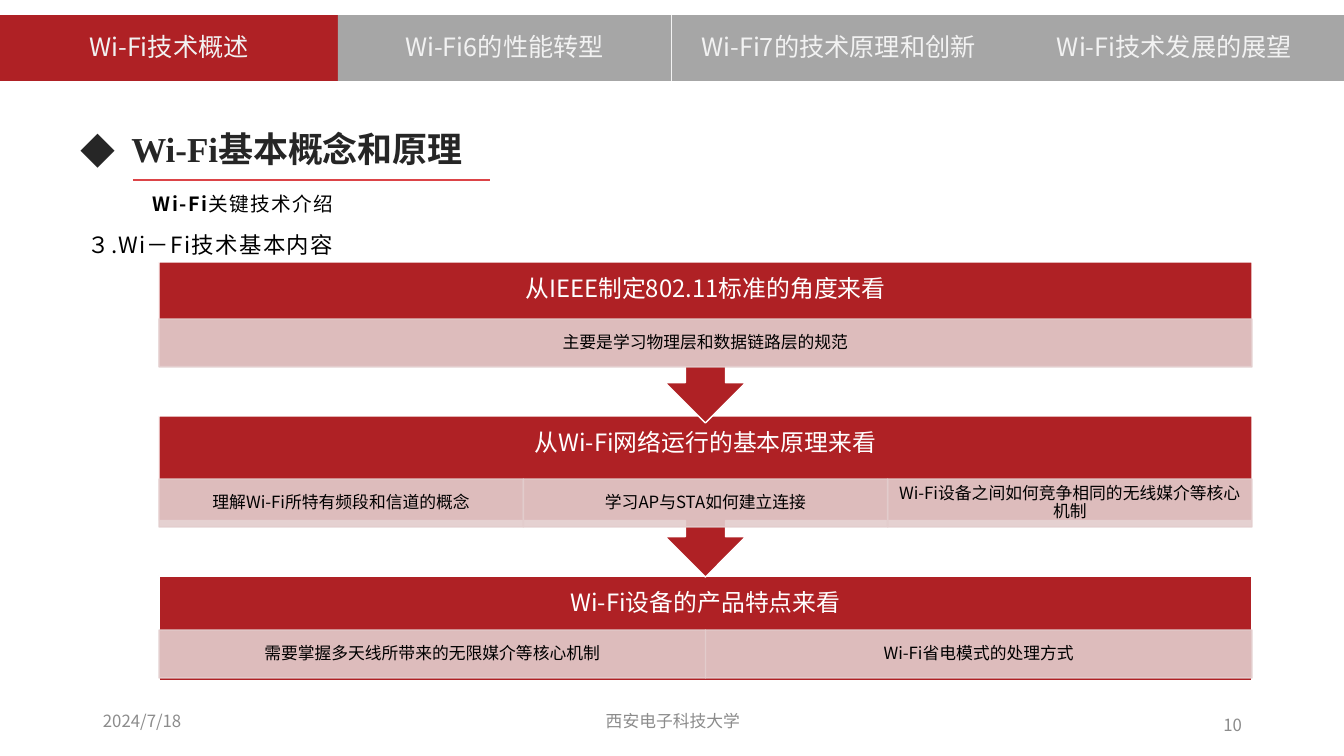
from lxml import etree
from pptx import Presentation
from pptx import util as u
from pptx.dml.color import RGBColor
from pptx.enum import shapes, text
from pptx.oxml import ns

SCALE = 914400 / 100.8
SANS, SERIF = "Noto Sans CJK SC", "Times New Roman"
RED = RGBColor(0xAF, 0x21, 0x25)
RULE_RED = RGBColor(0xDC, 0x44, 0x48)
GREY = RGBColor(0xA6, 0xA6, 0xA6)
PINK = RGBColor(0xE3, 0xCD, 0xCD)
WHITE = RGBColor(0xFF, 0xFF, 0xFF)
PALE = RGBColor(0xF2, 0xF2, 0xF2)
INK = RGBColor(0x26, 0x26, 0x26)
BLACK = RGBColor(0, 0, 0)
MUTED = RGBColor(0x8C, 0x8C, 0x8C)
LEFT, CENTER, RIGHT, JUSTIFY = (text.PP_ALIGN.LEFT, text.PP_ALIGN.CENTER,
                                text.PP_ALIGN.RIGHT, text.PP_ALIGN.JUSTIFY)
MIDDLE, TOP = text.MSO_ANCHOR.MIDDLE, text.MSO_ANCHOR.TOP
RECT, CALLOUT = shapes.MSO_SHAPE.RECTANGLE, shapes.MSO_SHAPE.DOWN_ARROW_CALLOUT

CHAPTERS = [
    ("Wi-Fi技术概述", 0, 338, RED),
    ("Wi-Fi6的性能转型", 338, 333, GREY),
    ("Wi-Fi7的技术原理和创新", 672, 333, GREY),
    ("Wi-Fi技术发展的展望", 1005, 339, GREY),
]
FOOTER = [
    ("2024/7/18", (93, 701, 302, 40), LEFT),
    ("西安电子科技大学", (446, 701, 454, 40), CENTER),
    ("10", (950, 705, 302, 40), RIGHT),
]
TITLE = "Wi-Fi基本概念和原理"
SUBTITLE = [("Wi-Fi", True), ("关键技术介绍", False)]
TOPIC = "３.Wi－Fi技术基本内容"
STAGES = [
    ("Wi-Fi设备的产品特点来看", 576, 630, RECT, 105,
     ["需要掌握多天线所带来的无限媒介等核心机制", "Wi-Fi省电模式的处理方式"]),
    ("从Wi-Fi网络运行的基本原理来看", 416, 479, CALLOUT, 161,
     ["理解Wi-Fi所特有频段和信道的概念", "学习AP与STA如何建立连接",
      "Wi-Fi设备之间如何竞争相同的无线媒介等核心机制"]),
    ("从IEEE制定802.11标准的角度来看", 262, 319, CALLOUT, 161,
     ["主要是学习物理层和数据链路层的规范"]),
]
STAGE_LEFT, STAGE_WIDTH = 159, 1093
BODY_HEIGHT, HEADER_HEIGHT, CELL_HEIGHT = 105, 56, 48

deck = Presentation()


def px(length):
    return u.Emu(round(length * SCALE))


deck.slide_width, deck.slide_height = px(1344), px(756)
slide = deck.slides.add_slide(deck.slide_layouts[6])


def write(holder, runs, size, color, align=CENTER, spacing=1.0, anchor=MIDDLE,
          insets=(10, 5, 10, 5), face=SANS, tracking=0, bullet=None):
    frame = holder.text_frame
    left, top, right, bottom = map(px, insets)
    layout = dict(word_wrap=True, vertical_anchor=anchor, margin_left=left,
                  margin_top=top, margin_right=right, margin_bottom=bottom)
    for key, value in layout.items():
        setattr(frame, key, value)
    line = frame.paragraphs[0]
    line.alignment, line.line_spacing = align, spacing
    if bullet:
        props = line._p.get_or_add_pPr()
        props.set("marL", "457200")
        props.set("indent", "-457200")
        etree.SubElement(props, ns.qn("a:buFont"), typeface=SANS)
        etree.SubElement(props, ns.qn("a:buChar"), char=bullet)
    for words, bold in runs:
        run = line.add_run()
        run.text = words
        for key, value in dict(size=u.Pt(size), bold=bold, name=face).items():
            setattr(run.font, key, value)
        run.font.color.rgb = color
        props = run._r.get_or_add_rPr()
        if tracking:
            props.set("spc", str(tracking))
        props.find(ns.qn("a:latin")).addnext(
            etree.Element(ns.qn("a:ea"), typeface=SANS))


def add_block(kind, box, fill, outline=None, opacity=None):
    block = slide.shapes.add_shape(kind, *map(px, box))
    block.shadow.inherit = False
    block.fill.solid()
    block.fill.fore_color.rgb = fill
    if outline is None:
        block.line.fill.background()
    else:
        block.line.color.rgb = outline
        block.line.width = u.Pt(1)
    if opacity:
        for color in block._element.spPr.iter(ns.qn("a:srgbClr")):
            etree.SubElement(color, ns.qn("a:alpha"), val=str(opacity * 1000))
    return block


def add_text(box, runs, size, color, **style):
    write(slide.shapes.add_textbox(*map(px, box)), runs, size, color, **style)


for words, box, align in FOOTER:
    add_text(box, [(words, False)], 12, MUTED, align=align)

for words, left, width, fill in CHAPTERS:
    tab = add_block(RECT, (left, 15, width, 66), fill)
    write(tab, [(words, False)], 18, PALE, spacing=0.9)

underline = slide.shapes.add_connector(
    shapes.MSO_CONNECTOR.STRAIGHT, px(133), px(180), px(490), px(180))
underline.line.color.rgb = RULE_RED
underline.line.width = u.Pt(1.5)
etree.SubElement(underline._element.spPr, ns.qn("a:effectLst"))

add_text((143, 180, 229, 38), SUBTITLE, 14, BLACK, align=JUSTIFY,
         spacing=1.3, anchor=TOP, tracking=100)
add_text((71, 123, 1159, 57), [(TITLE, True)], 25, INK, align=LEFT,
         spacing=0.9, face=SERIF, bullet="◆")
add_text((78, 218, 426, 42), [(TOPIC, False)], 16, BLACK, align=JUSTIFY,
         spacing=1.3, anchor=TOP, tracking=100)

for heading, top, cells_top, kind, height, details in STAGES:
    stage = add_block(kind, (STAGE_LEFT, top, STAGE_WIDTH, height), RED, WHITE)
    write(stage, [(heading, False)], 17, WHITE, spacing=0.9,
          insets=(13, 0, 13, BODY_HEIGHT - HEADER_HEIGHT))
    cell_width = STAGE_WIDTH / len(details)
    for index, detail in enumerate(details):
        cell = add_block(RECT, (STAGE_LEFT + index * cell_width, cells_top,
                                cell_width, CELL_HEIGHT), PINK, PINK, 90)
        write(cell, [(detail, False)], 12, BLACK, spacing=0.9,
              insets=(9, 2, 9, 2))

deck.save("out.pptx")
